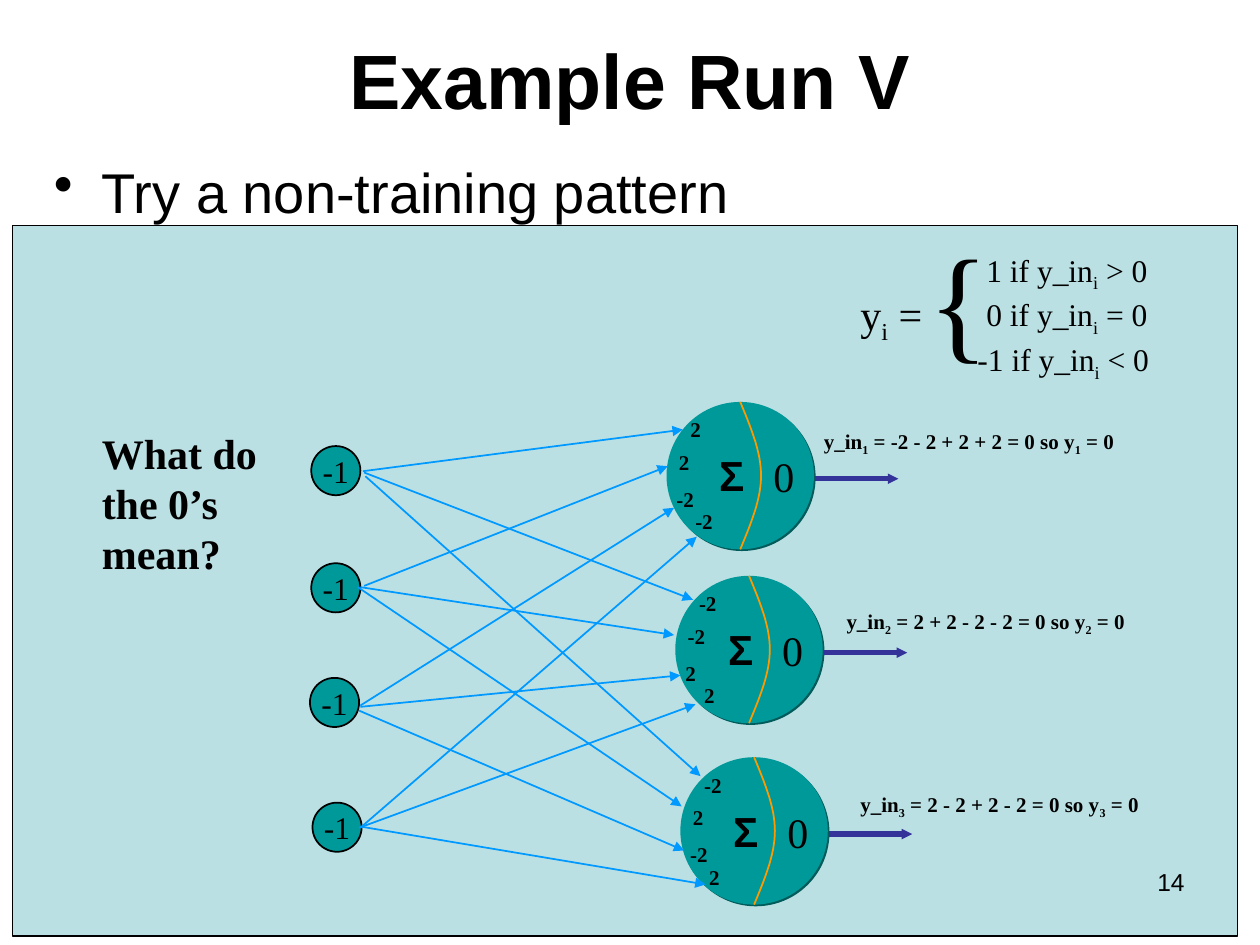
"""Build the slide showing a three-neuron network tested on a non-training pattern."""
from dataclasses import dataclass

import pptx
import pptx.dml.color
import pptx.enum.shapes
import pptx.enum.text
import pptx.oxml
import pptx.oxml.ns
import pptx.util

ALIGN = pptx.enum.text.PP_ALIGN
ANCHOR = pptx.enum.text.MSO_ANCHOR
SHAPES = pptx.enum.shapes.MSO_SHAPE
SERIF = "Times New Roman"
SANS = "Arial"
BLACK = "000000"
TEAL = "009999"
INPUT_SIZE = 0.39
NEURON_SIZE = 1.17
WEIGHT_OFFSETS = [(0.09, 0.07), (0, 0.33), (-0.02, 0.62), (0.13, 0.8)]
CURVE_STEPS = 16


@dataclass
class Label:
    text: str
    left: float
    top: float
    width: float
    height: float
    size: float
    font: str = SERIF
    bold: bool = False
    align: ALIGN = ALIGN.LEFT
    wrap: bool = False
    anchor: ANCHOR = ANCHOR.TOP
    bullet: bool = False


@dataclass
class InputNode:
    left: float
    top: float
    arrows: list[tuple[float, float, float, float]]


@dataclass
class Neuron:
    left: float
    top: float
    weights: list[str]
    equation: Label


INPUTS = [
    InputNode(2.47, 3.54, [(2.88, 3.74, 5.42, 3.41), (2.89, 3.75, 5.5, 4.76), (2.9, 3.78, 5.56, 6.16)]),
    InputNode(2.47, 4.47, [(2.89, 4.65, 5.3, 3.7), (2.86, 4.66, 5.35, 5.04), (2.84, 4.66, 5.41, 6.4)]),
    InputNode(2.46, 5.38, [(2.86, 5.6, 5.35, 4.03), (2.86, 5.61, 5.4, 5.36), (2.85, 5.64, 5.43, 6.75)]),
    InputNode(2.48, 6.37, [(2.86, 6.57, 5.53, 4.26), (2.85, 6.57, 5.52, 5.59), (2.86, 6.56, 5.6, 7.02)]),
]
NEURONS = [
    Neuron(5.29, 3.19, ["2", "2", "-2", "-2"],
           Label("y_in~1~ = -2 - 2 + 2 + 2 = 0 so y~1~ = 0", 6.44, 3.35, 2.5, 0.33, 12, bold=True)),
    Neuron(5.36, 4.57, ["-2", "-2", "2", "2"],
           Label("y_in~2~ = 2 + 2 - 2 - 2 = 0 so y~2~ = 0", 6.62, 4.78, 2.41, 0.33, 12, bold=True)),
    Neuron(5.4, 6.01, ["-2", "2", "-2", "2"],
           Label("y_in~3~ = 2 - 2 + 2 - 2 = 0 so y~3~ = 0", 6.73, 6.23, 2.41, 0.33, 12, bold=True)),
]
HEADINGS = [
    Label("Example Run V", 0.5, 0, 9, 1.25, 44, SANS, True, ALIGN.CENTER, True, ANCHOR.MIDDLE),
    Label("Try a non-training pattern", 0.33, 1.2, 9, 0.96, 32, SANS, wrap=True, bullet=True),
]
NOTES = [
    Label("y~i~ =", 6.73, 2.24, 0.77, 0.56, 24),
    Label("1 if y_in~i~ > 0", 7.73, 1.94, 1.48, 0.44, 18),
    Label("0 if y_in~i~ = 0", 7.73, 2.29, 1.48, 0.44, 18),
    Label("-1 if y_in~i~ < 0", 7.66, 2.65, 1.56, 0.44, 18),
    Label("{", 7.27, 1.71, 0.68, 1.3, 72),
    Label("What do\vthe 0’s\vmean?", 0.71, 3.34, 1.43, 1.3, 24, bold=True),
    Label("14", 7.17, 6.83, 2.33, 0.52, 14, SANS, align=ALIGN.RIGHT, wrap=True),
]


def inches(value: float) -> pptx.util.Cm:
    """Convert inches to a centimetre length."""
    return pptx.util.Cm(value * 2.54)


def color(value: str) -> pptx.dml.color.RGBColor:
    """Turn a hex string into a colour."""
    return pptx.dml.color.RGBColor.from_string(value)


def add_xml(parent, xml: str) -> None:
    """Append a DrawingML element to a parent element."""
    namespace = pptx.oxml.ns.nsdecls("a")
    parent.append(pptx.oxml.parse_xml(xml.replace("<a:", f"<a:", 1).replace(" ", f" {namespace} ", 1)))


def write_text(text_frame, label: Label) -> None:
    """Write a label, with parts between tildes as subscripts."""
    text_frame.word_wrap = label.wrap
    text_frame.vertical_anchor = label.anchor
    paragraph = text_frame.paragraphs[0]
    first, *others = label.text.split("~")
    paragraph.text = first
    for index, part in enumerate(others):
        run = paragraph.add_run()
        run.text = part
        if index % 2 == 0:
            run.font._element.set("baseline", "-25000")
    paragraph.alignment = label.align
    if label.bullet:
        properties = paragraph._p.get_or_add_pPr()
        properties.set("marL", str(inches(0.38)))
        properties.set("indent", str(-inches(0.38)))
        add_xml(properties, '<a:buChar char="•"/>')
    for run in paragraph.runs:
        run.font.name = label.font
        run.font.size = pptx.util.Pt(label.size)
        run.font.bold = label.bold
        run.font.color.rgb = color(BLACK)


def add_label(slide, label: Label) -> None:
    """Place a label in its own text box."""
    box = slide.shapes.add_textbox(*map(inches, (label.left, label.top, label.width, label.height)))
    write_text(box.text_frame, label)
    if not label.wrap:
        box.text_frame.auto_size = pptx.enum.text.MSO_AUTO_SIZE.SHAPE_TO_FIT_TEXT


def add_shape(slide, kind: SHAPES, left: float, top: float, width: float, height: float,
              fill: str, line_width: float = 0):
    """Draw a filled shape, outlined in black if it has a line width."""
    shape = slide.shapes.add_shape(kind, *map(inches, (left, top, width, height)))
    shape.shadow.inherit = False
    shape.fill.solid()
    shape.fill.fore_color.rgb = color(fill)
    if line_width:
        shape.line.color.rgb = color(BLACK)
        shape.line.width = pptx.util.Pt(line_width)
    else:
        shape.line.fill.background()
    return shape


def add_arrow(slide, ends: tuple[float, float, float, float], line_color: str, width: float,
              head: str) -> None:
    """Draw a straight arrow with a triangular head."""
    connector = slide.shapes.add_connector(pptx.enum.shapes.MSO_CONNECTOR.STRAIGHT, *map(inches, ends))
    connector.line.color.rgb = color(line_color)
    connector.line.width = pptx.util.Pt(width)
    add_xml(connector.line._get_or_add_ln(), f'<a:tailEnd type="triangle" w="{head}" len="{head}"/>')
    add_xml(connector._element.spPr, "<a:effectLst />")


def add_divider(slide, left: float, top: float) -> None:
    """Draw the curve that splits a neuron into sum and output."""
    points = []
    for step in range(CURVE_STEPS + 1):
        t = step / CURVE_STEPS
        bulge = 3 * t * (1 - t) ** 2 * 0.08 + 3 * t ** 2 * (1 - t) * 0.165 + t ** 3 * 0.165
        points.append((left + bulge, top + t * NEURON_SIZE / 2))
    points += [(x, 2 * top + NEURON_SIZE - y) for x, y in reversed(points[:-1])]
    points = [(inches(x), inches(y)) for x, y in points]
    builder = slide.shapes.build_freeform(*points[0])
    builder.add_line_segments(points[1:], close=False)
    curve = builder.convert_to_shape()
    curve.shadow.inherit = False
    curve.fill.background()
    curve.line.color.rgb = color("FF9900")
    curve.line.width = pptx.util.Pt(1)


def add_neuron(slide, neuron: Neuron) -> None:
    """Draw a neuron with its weights, sum, output and equation."""
    left, top = neuron.left, neuron.top
    body = add_shape(slide, SHAPES.OVAL, left, top, NEURON_SIZE, NEURON_SIZE, TEAL)
    add_xml(body._element.spPr.find(pptx.oxml.ns.qn("a:effectLst")),
            '<a:outerShdw dist="17780" dir="2700000" algn="ctr"><a:srgbClr val="005B5B"/></a:outerShdw>')
    add_divider(slide, left + NEURON_SIZE / 2, top)
    add_label(slide, Label("0", left + 0.75, top + 0.34, 0.36, 0.5, 24))
    add_label(slide, Label("Σ", left + 0.32, top + 0.33, 0.39, 0.5, 24, SANS, True))
    for weight, (x, y) in zip(neuron.weights, WEIGHT_OFFSETS):
        width = 0.34 if weight.startswith("-") else 0.28
        add_label(slide, Label(weight, left + x, top + y, width, 0.3, 12, bold=True))
    add_arrow(slide, (left + 1.18, top + 0.61, left + 1.84, top + 0.61), "333399", 3, "sm")
    add_label(slide, neuron.equation)


def main() -> None:
    """Build and save the presentation."""
    presentation = pptx.Presentation()
    presentation.slide_width, presentation.slide_height = inches(10), inches(7.5)
    slide = presentation.slides.add_slide(presentation.slide_layouts[6])
    for heading in HEADINGS:
        add_label(slide, heading)
    add_shape(slide, SHAPES.RECTANGLE, 0.1, 1.79, 9.72, 5.64, "BBE0E3", 0.75)
    for node in INPUTS:
        circle = add_shape(slide, SHAPES.OVAL, node.left, node.top, INPUT_SIZE, INPUT_SIZE, TEAL, 1)
        write_text(circle.text_frame, Label("-1", node.left, node.top, INPUT_SIZE, INPUT_SIZE, 18,
                                            align=ALIGN.CENTER, anchor=ANCHOR.MIDDLE))
    for neuron in NEURONS:
        add_neuron(slide, neuron)
    for node in INPUTS:
        for ends in node.arrows:
            add_arrow(slide, ends, "0099FF", 1, "med")
    for note in NOTES:
        add_label(slide, note)
    presentation.save("out.pptx")


if __name__ == "__main__":
    main()
